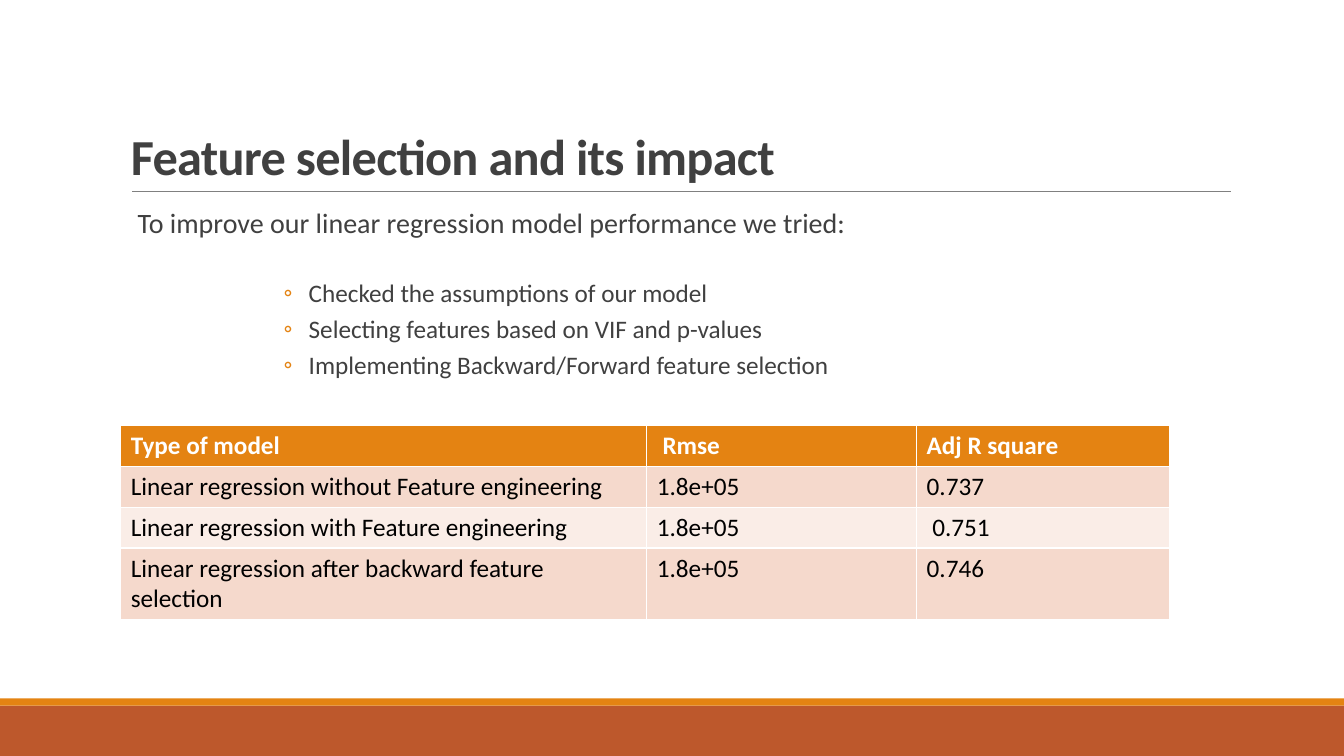
from dataclasses import dataclass

from lxml.etree import SubElement
from pptx import Presentation
from pptx.dml.color import RGBColor
from pptx.enum.shapes import MSO_CONNECTOR, MSO_SHAPE
from pptx.enum.text import MSO_ANCHOR, MSO_AUTO_SIZE, PP_ALIGN
from pptx.oxml.ns import qn
from pptx.util import Emu, Pt

SCALE = 9525  # EMU in one px, 96 px to the inch
FONT = "Calibri"
COLORS = {
    "rust": "BD582C",
    "orange": "E48312",
    "gray": "808080",
    "dark": "404040",
    "black": "000000",
    "white": "FFFFFF",
    "rose": "F5D9CC",
    "pale": "FAEDE7",
}


@dataclass
class Box:
    left: int
    top: int
    width: int
    height: int


@dataclass
class Band:
    box: Box
    color: str


@dataclass
class Model:
    name: str
    rmse: str
    score: str


BANDS = [
    Band(Box(0, 672, 1280, 48), "rust"),
    Band(Box(0, 665, 1280, 7), "orange"),
]
STEPS = [
    "Checked the assumptions of our model",
    "Selecting features based on VIF and p-values",
    "Implementing Backward/Forward feature selection",
]
MODELS = [
    Model("Type of model", " Rmse", "Adj R square"),
    Model("Linear regression without Feature engineering", "1.8e+05", "0.737"),
    Model("Linear regression with Feature engineering", "1.8e+05", " 0.751"),
    Model("Linear regression after backward feature selection", "1.8e+05", "0.746"),
]
WIDTHS = [501, 257, 241]
ROW = 39


def px(size: int) -> Emu:
    return Emu(size * SCALE)


def rgb(name: str) -> RGBColor:
    return RGBColor.from_string(COLORS[name])


def place(shape, box: Box) -> None:
    shape.left, shape.top = px(box.left), px(box.top)
    shape.width, shape.height = px(box.width), px(box.height)


def write(para, text: str, *, size: int = 18, color: str = "dark",
          bold: bool = False, lines: float = 1, before: int = 0,
          after: int = 0, track: int = 0, left: int = 0, hang: int = 0,
          mark: str = "") -> None:
    run = para.add_run()
    run.text = text
    font = run.font
    font.name, font.size, font.bold = FONT, Pt(size), bold
    font.color.rgb = rgb(color)
    if track:
        run._r.get_or_add_rPr().set("spc", str(track))
    para.alignment = PP_ALIGN.LEFT
    para.line_spacing = lines
    para.space_before, para.space_after = Pt(before), Pt(after)
    props = para._p.get_or_add_pPr()
    props.set("marL", str(px(left)))
    props.set("indent", str(px(-hang)))
    if mark:
        tint = SubElement(props, qn("a:buClr"))
        SubElement(tint, qn("a:srgbClr"), val=COLORS["orange"])
        SubElement(props, qn("a:buFont"), typeface=FONT)
        SubElement(props, qn("a:buChar"), char=mark)
    else:
        SubElement(props, qn("a:buNone"))


def add_band(slide, band: Band) -> None:
    shape = slide.shapes.add_shape(MSO_SHAPE.RECTANGLE, 0, 0, 0, 0)
    place(shape, band.box)
    shape.shadow.inherit = False
    shape.fill.solid()
    shape.fill.fore_color.rgb = rgb(band.color)
    shape.line.fill.background()


def add_rule(slide, left: int, right: int, top: int) -> None:
    rule = slide.shapes.add_connector(
        MSO_CONNECTOR.STRAIGHT, px(left), px(top), px(right), px(top))
    rule.line.color.rgb = rgb("gray")
    rule.line.width = Pt(0.5)
    SubElement(rule._element.spPr, qn("a:effectLst"))


def add_title(slide, text: str) -> None:
    title = slide.shapes.title
    place(title, Box(115, 30, 1056, 152))
    frame = title.text_frame
    frame.auto_size = MSO_AUTO_SIZE.NONE
    frame.vertical_anchor = MSO_ANCHOR.BOTTOM
    write(frame.paragraphs[0], text, size=36, bold=True, lines=0.85, track=-50)


def add_body(slide, lead: str, steps: list[str]) -> None:
    body = slide.placeholders[1]
    place(body, Box(115, 194, 1056, 422))
    frame = body.text_frame
    frame.auto_size = MSO_AUTO_SIZE.NONE
    frame.margin_left = frame.margin_right = 0
    frame.margin_top = frame.margin_bottom = px(5)
    write(frame.paragraphs[0], lead, size=20, lines=0.9, before=12, after=2,
          left=10)
    for i, step in enumerate(steps):
        para = frame.add_paragraph()
        para.level = 8
        write(para, step, lines=0.9, before=2 if i else 28, after=4,
              left=179, hang=24, mark="◦")


def add_models(slide, models: list[Model]) -> None:
    table = slide.shapes.add_table(
        len(models), len(WIDTHS), px(115), px(405),
        px(sum(WIDTHS)), px(ROW * len(models))).table
    for col, width in zip(table.columns, WIDTHS):
        col.width = px(width)
    for i, model in enumerate(models):
        head = i == 0
        fill = "orange" if head else ("rose" if i % 2 else "pale")
        texts = (model.name, model.rmse, model.score)
        for cell, text in zip(table.rows[i].cells, texts):
            cell.fill.solid()
            cell.fill.fore_color.rgb = rgb(fill)
            write(cell.text_frame.paragraphs[0], text, bold=head,
                  color="white" if head else "black")


def main() -> None:
    deck = Presentation()
    deck.slide_width, deck.slide_height = px(1280), px(720)
    slide = deck.slides.add_slide(deck.slide_layouts[1])

    # Footer bands and title rule
    for band in BANDS:
        add_band(slide, band)
    add_rule(slide, 126, 1172, 182)

    # Title and list
    add_title(slide, "Feature selection and its impact")
    add_body(slide,
             " To improve our linear regression model performance we tried:",
             STEPS)

    # Model comparison
    add_models(slide, MODELS)
    deck.save("out.pptx")


if __name__ == "__main__":
    main()
